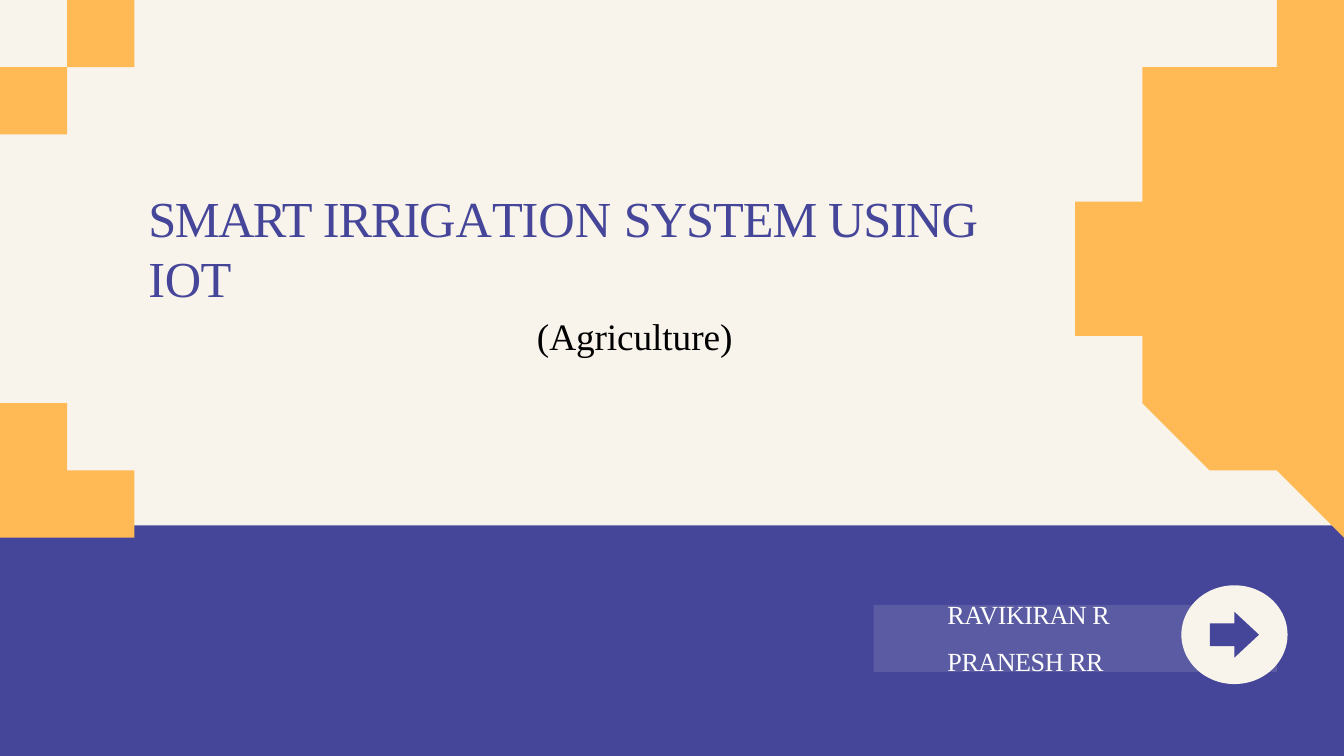
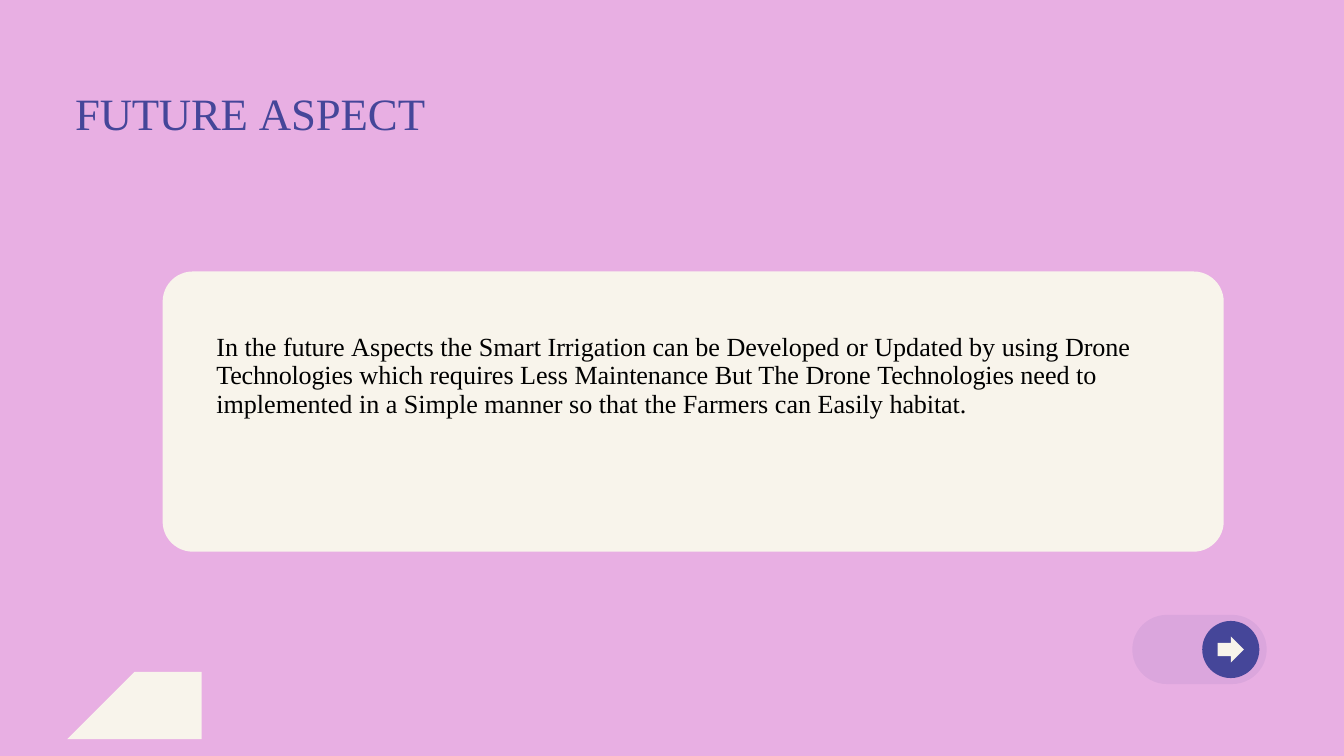
from math import cos, radians, sin

from lxml import etree
from pptx import Presentation
from pptx.dml.color import RGBColor
from pptx.enum.shapes import MSO_SHAPE
from pptx.enum.text import MSO_ANCHOR, MSO_AUTO_SIZE, PP_ALIGN
from pptx.oxml.ns import qn
from pptx.util import Inches, Pt

RECT, OVAL = MSO_SHAPE.RECTANGLE, MSO_SHAPE.OVAL
ROUNDED, ARROW = MSO_SHAPE.ROUNDED_RECTANGLE, MSO_SHAPE.RIGHT_ARROW
LEFT, CENTER = PP_ALIGN.LEFT, PP_ALIGN.CENTER
TOP, GROW = MSO_ANCHOR.TOP, MSO_AUTO_SIZE.SHAPE_TO_FIT_TEXT

COLORS = {
    "cream": "F8F4EB",
    "orange": "FFBA55",
    "indigo": "454699",
    "pink": "E8AFE3",
    "white": "FFFFFF",
    "black": "000000",
}
FONT = "Times New Roman"
WIDTH, HEIGHT = 20, 11.25


def paint(sp, color, alpha=None):
    """Fill a shape without line or shadow; alpha is opacity in percent."""
    sp.shadow.inherit = False
    sp.line.fill.background()
    sp.fill.solid()
    sp.fill.fore_color.rgb = RGBColor.from_string(COLORS[color])
    if alpha is not None:
        clr = sp.fill._xPr.find(".//" + qn("a:srgbClr"))
        etree.SubElement(clr, qn("a:alpha")).set("val", str(alpha * 1000))


def add_preset(s, kind, box, color, alpha=None, adjust=()):
    sp = s.shapes.add_shape(kind, *map(Inches, box))
    for i, value in enumerate(adjust):
        sp.adjustments[i] = value
    paint(sp, color, alpha)


def add_outline(s, points, color, alpha=None):
    builder = s.shapes.build_freeform(*points[0], scale=Inches(1))
    builder.add_line_segments(points[1:], close=True)
    paint(builder.convert_to_shape(), color, alpha)


def arc(cx, cy, rx, ry, start, end, steps=48):
    """Points on an ellipse; degrees run clockwise from the right."""
    angles = [radians(start + (end - start) * i / steps) for i in range(steps + 1)]
    return [(cx + rx * cos(a), cy + ry * sin(a)) for a in angles]


def add_text(s, box, paragraphs, inset):
    """Each paragraph is a dict with runs of (text, spacing) and its format."""
    tf = s.shapes.add_textbox(*map(Inches, box)).text_frame
    tf.word_wrap = True
    tf.auto_size = GROW
    tf.vertical_anchor = TOP
    tf.margin_left = tf.margin_right = tf.margin_bottom = 0
    tf.margin_top = Inches(inset)
    for i, para in enumerate(paragraphs):
        p = tf.add_paragraph() if i else tf.paragraphs[0]
        p.alignment = para.get("align", LEFT)
        p._p.get_or_add_pPr().set("marL", str(Inches(para.get("indent", 0.01))))
        p.line_spacing = para.get("line", 1.0)
        p.space_before = Pt(para.get("before", 0))
        for text, spacing in para["runs"]:
            r = p.add_run()
            r.text = text
            r.font.name = FONT
            r.font.size = Pt(para["size"])
            r.font.color.rgb = RGBColor.from_string(COLORS[para["color"]])
            r._r.get_or_add_rPr().set("spc", str(round(spacing * 100)))


def add_arrow_button(s, box, disc, arrow, arrow_size):
    x, y, w, h = box
    aw, ah = arrow_size
    add_preset(s, OVAL, box, disc)
    add_preset(s, ARROW, (x + (w - aw) / 2, y + (h - ah) / 2, aw, ah), arrow,
               adjust=(0.5, aw / 2 / ah))


def add_orange_circles(s, floor):
    """Ring in the top corner, half circle at the right edge, quarter on the floor."""
    ring, hole, big, quarter = 1.86, 1.03, 3.64, 1.72
    add_outline(s, arc(0, 0, ring, ring, 0, 90) + arc(0, 0, hole, hole, 90, 0), "orange")
    add_outline(s, arc(WIDTH - 0.01, floor / 2, big, big, 90, 270), "orange")
    add_outline(s, [(0, floor)] + arc(0, floor, quarter, quarter, -90, 0), "orange")


def add_team_pill(s, box):
    x, y, w, h = box
    rx, ry = 0.35, h / 2
    ends = arc(x + w - rx, y + ry, rx, ry, -90, 90) + arc(x + rx, y + ry, rx, ry, 90, 270)
    add_outline(s, ends, "cream", alpha=12)
    add_text(s, (x + 0.67, y + 0.35, 4.73, 1.15), [
        dict(runs=[(name, -0.5)], size=28, color="white", before=before)
        for name, before in (("RAVIKIRAN R", 0), ("PRANESH RR", 16))
    ], inset=0.02)
    add_arrow_button(s, (x + w - 1.59, y + 0.17, 1.58, 1.47), "cream", "indigo", (0.73, 0.68))


def add_next_switch(s, box):
    x, y, w, h = box
    add_preset(s, ROUNDED, box, "indigo", alpha=8, adjust=(0.5,))
    add_arrow_button(s, (x + w - 0.96, y + 0.09, 0.85, 0.85), "indigo", "cream", (0.39, 0.39))


def add_text_card(s, box, runs):
    x, y, w, h = box
    add_preset(s, ROUNDED, box, "cream", adjust=(0.45 / h,))
    add_text(s, (x + 0.79, y + 0.81, 13.62, 1.33),
             [dict(runs=runs, size=28, color="black", line=0.9)], inset=0.12)


def build_cover(s):
    floor = 7.82
    add_preset(s, RECT, (0, 0, WIDTH, floor), "cream")
    add_preset(s, RECT, (0, floor, WIDTH, HEIGHT - floor), "indigo")
    add_orange_circles(s, floor)
    add_team_pill(s, (13.42, 8.54, 5.75, 1.75))
    title = [("SMART ", -1.7), ("IRRIG", -1.2), ("A", -7.2), ("TI", -1.2), ("O", -1.4),
             ("N ", 0), ("SYSTEM USING ", -1.1), ("IOT", -0.5)]
    add_text(s, (2.2, 2.54, 13.54, 1.78), [
        dict(runs=title, size=54, color="indigo"),
        dict(runs=[("(Agriculture)", -0.1)], size=40, color="black",
             align=CENTER, indent=0.95, before=5.8),
    ], inset=0.24)


def build_future(s):
    add_preset(s, RECT, (0, 0, WIDTH, HEIGHT), "pink")
    add_text(s, (1.11, 1.25, 5.23, 0.83), [
        dict(runs=[("FUTURE ", -0.3), ("ASPECT", -0.1)], size=48, color="indigo"),
    ], inset=0.03)
    add_text_card(s, (2.42, 4.04, 15.79, 4.17), [
        ("In the ", 0), ("future ", -0.1),
        ("Aspects the Smart Irrigation can be Developed or Updated by using ", 0),
        ("Drone ", -0.1), ("Technologies ", -0.2), ("which requires Less ", 0),
        ("Maintenance ", -0.1), ("But The Drone ", 0), ("Technologies ", -0.2),
        ("need ", 0), ("to ", -0.2),
        ("implemented in a Simple manner so that the Farmers can Easily ", 0),
        ("habitat.", -0.1),
    ])
    add_outline(s, arc(2.12, HEIGHT, 0.99, 0.99, 180, 360), "cream")
    add_next_switch(s, (16.85, 9.15, 2, 1.03))


def main():
    prs = Presentation()
    prs.slide_width, prs.slide_height = Inches(WIDTH), Inches(HEIGHT)
    for build in (build_cover, build_future):
        build(prs.slides.add_slide(prs.slide_layouts[6]))
    prs.save("out.pptx")


if __name__ == "__main__":
    main()
